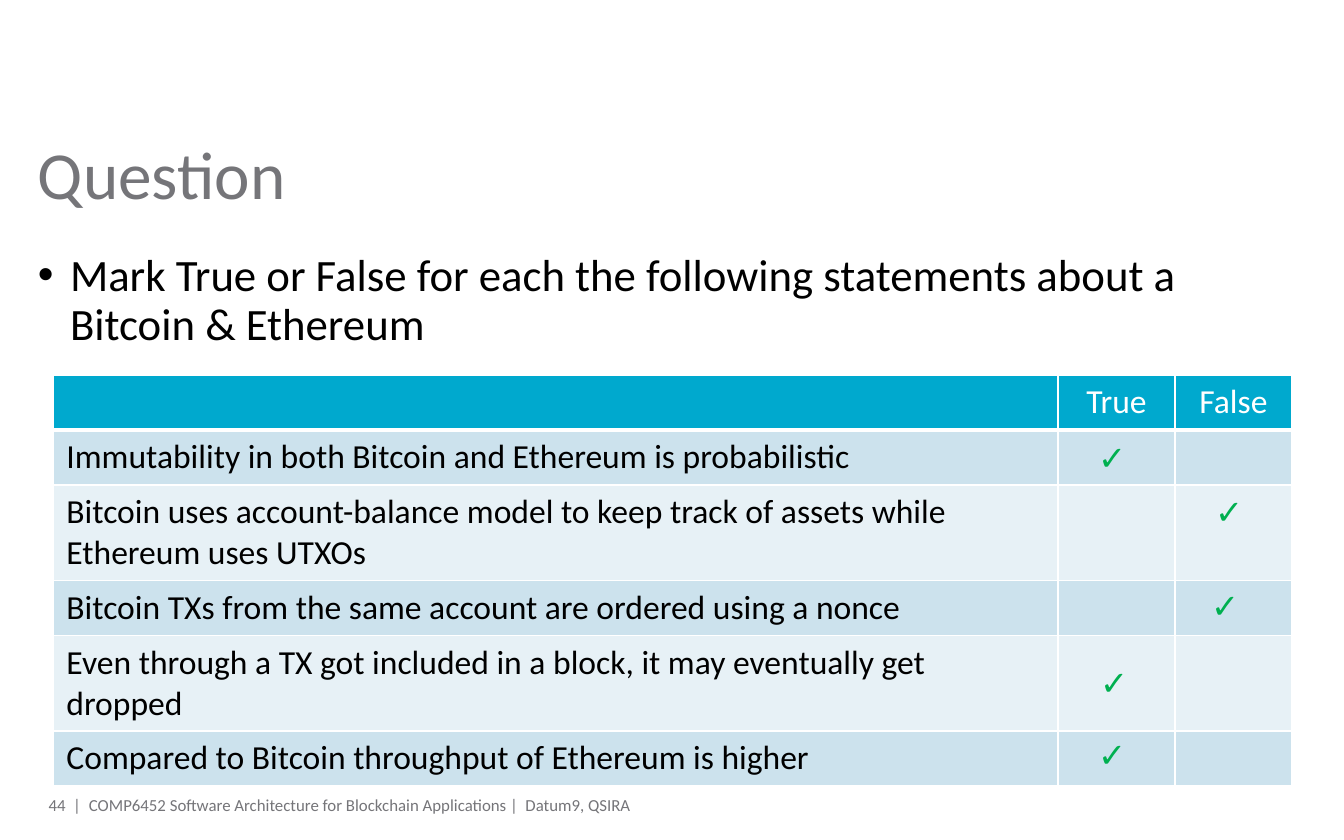
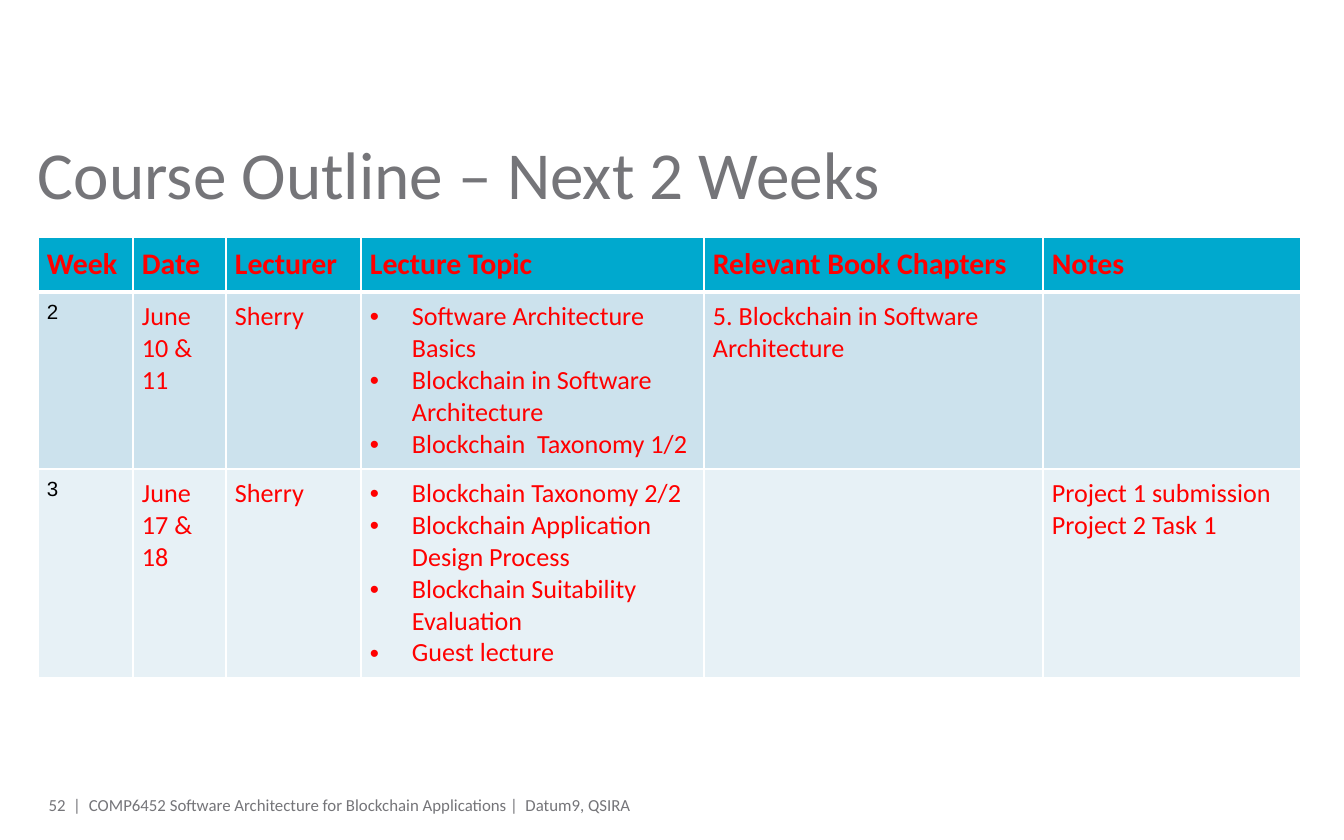
import dataclasses

import lxml.etree
import pptx
import pptx.dml.color
import pptx.enum.text
import pptx.oxml.ns
import pptx.util

RGBColor = pptx.dml.color.RGBColor
Align = pptx.enum.text.PP_ALIGN
Anchor = pptx.enum.text.MSO_ANCHOR
AutoSize = pptx.enum.text.MSO_AUTO_SIZE

PX_PER_INCH = 134.4
GREY = RGBColor(0x75, 0x75, 0x79)
BLACK = RGBColor(0, 0, 0)
WHITE = RGBColor(0xFF, 0xFF, 0xFF)
RED = RGBColor(0xFF, 0, 0)
GREEN = RGBColor(0, 0xB0, 0x50)
HEADER_BLUE = RGBColor(0, 0xA9, 0xCE)
BANDS = (RGBColor(0xCC, 0xE2, 0xED), RGBColor(0xE7, 0xF1, 0xF6))

LEFT, CONTENT_WIDTH = 38, 1270
ROW_HEIGHT = 55
FOOTER = "COMP6452 Software Architecture for Blockchain Applications |  Datum9, QSIRA"


@dataclasses.dataclass
class Style:
    size: int
    color: RGBColor
    font: str = "Calibri"
    bold: bool = False
    align: Align = Align.LEFT
    bullet_indent: int = 0


TITLE = Style(36, GREY)
PROMPT = Style(24, BLACK, bullet_indent=32)
FOOTER_TEXT = Style(9, GREY)
PAGE_NUMBER = Style(9, GREY, align=Align.RIGHT)
CHECK = Style(18, GREEN, "Lato", True, Align.CENTER)
STATEMENT = Style(18, BLACK)
ANSWER_HEAD = Style(18, WHITE, align=Align.CENTER)
OUTLINE_HEAD = Style(16, RED, bold=True)
OUTLINE_TEXT = Style(14, RED)
OUTLINE_TOPIC = Style(14, RED, bullet_indent=42)
WEEK_NUMBER = Style(11, BLACK, "Arial")

ANSWER_COLUMNS = (1005, 117, 117)
ANSWERS = (
    ("", "True", "False"),
    ("Immutability in both Bitcoin and Ethereum is probabilistic", "", ""),
    ("Bitcoin uses account-balance model to keep track of assets while Ethereum uses UTXOs", "", ""),
    ("Bitcoin TXs from the same account are ordered using a nonce", "", ""),
    ("Even through a TX got included in a block, it may eventually get dropped", "", ""),
    ("Compared to Bitcoin throughput of Ethereum is higher", "", ""),
)
CHECK_PLACES = ((1085, 430), (1202, 484), (1198, 578), (1087, 655), (1085, 727))

OUTLINE_COLUMNS = (95, 93, 135, 343, 339, 258)
OUTLINE = (
    ("Week", "Date", "Lecturer", "Lecture Topic", "Relevant Book Chapters", "Notes"),
    (
        "2",
        "June 10 & 11",
        "Sherry",
        "Software Architecture Basics\nBlockchain in Software Architecture\nBlockchain  Taxonomy 1/2",
        "5. Blockchain in Software Architecture",
        "",
    ),
    (
        "3",
        "June 17 & 18",
        "Sherry",
        "Blockchain Taxonomy 2/2\nBlockchain Application Design Process\n"
        "Blockchain Suitability Evaluation\nGuest lecture",
        "",
        "Project 1 submission\nProject 2 Task 1",
    ),
)
OUTLINE_STYLES = (WEEK_NUMBER, OUTLINE_TEXT, OUTLINE_TEXT, OUTLINE_TOPIC, OUTLINE_TEXT, OUTLINE_TEXT)


def px(length):
    return pptx.util.Emu(round(length * 914400 / PX_PER_INCH))


def add_xml(parent, tag, **attributes):
    return lxml.etree.SubElement(parent, pptx.oxml.ns.qn(tag), attributes)


def add_bullet(para, indent):
    properties = para._p.get_or_add_pPr()
    properties.set("marL", str(px(indent)))
    properties.set("indent", str(-px(indent)))
    add_xml(properties, "a:buFont", typeface="Arial")
    add_xml(properties, "a:buChar", char="•")


def write_text(frame, text, style):
    for index, line in enumerate(text.split("\n")):
        para = frame.add_paragraph() if index else frame.paragraphs[0]
        if style.bullet_indent:
            add_bullet(para, style.bullet_indent)
        para.alignment = style.align
        para.space_before = pptx.util.Pt(0)
        span = para.add_run()
        span.text = line
        span.font.size = pptx.util.Pt(style.size)
        span.font.name = style.font
        span.font.bold = style.bold
        span.font.color.rgb = style.color


def set_margins(target, margin):
    target.margin_left = target.margin_right = px(margin)
    target.margin_top = target.margin_bottom = px(margin)


def fill_frame(frame, text, style, anchor):
    set_margins(frame, 0)
    frame.word_wrap = True
    frame.auto_size = AutoSize.NONE
    frame.vertical_anchor = anchor
    write_text(frame, text, style)


def fill_placeholder(shape, top, text, style):
    shape.left, shape.top = px(LEFT), px(top)
    shape.width, shape.height = px(CONTENT_WIDTH), px(105)
    fill_frame(shape.text_frame, text, style, Anchor.TOP)


def add_footer_text(page, left, width, text, style):
    box = page.shapes.add_textbox(px(left), px(797), px(width), px(15))
    fill_frame(box.text_frame, text, style, Anchor.MIDDLE)


def add_page(deck, layout_name, title, number):
    page = deck.slides.add_slide(deck.slide_layouts.get_by_name(layout_name))
    fill_placeholder(page.shapes.title, 132, title, TITLE)
    add_footer_text(page, 89, 894, FOOTER, FOOTER_TEXT)
    add_footer_text(page, LEFT, 43, f"{number}  |", PAGE_NUMBER)
    return page


def add_check(page, left, top):
    box = page.shapes.add_textbox(px(left), px(top), px(52), px(54))
    box.text_frame.word_wrap = False
    box.text_frame.auto_size = AutoSize.SHAPE_TO_FIT_TEXT
    write_text(box.text_frame, "✓", CHECK)


def add_borders(cell, bottom_width):
    properties = cell._tc.get_or_add_tcPr()
    for side, width in (("L", 1), ("R", 1), ("T", 1), ("B", bottom_width)):
        line = add_xml(properties, f"a:ln{side}", w=str(pptx.util.Pt(width)))
        add_xml(add_xml(line, "a:solidFill"), "a:srgbClr", val=str(WHITE))


def add_grid(page, left, top, widths, rows, head_style, column_styles, margin=None):
    frame = page.shapes.add_table(
        len(rows), len(widths), px(left), px(top), px(sum(widths)), px(ROW_HEIGHT * len(rows))
    )
    table = frame.table
    table.first_row = table.horz_banding = False
    for column, width in zip(table.columns, widths):
        column.width = px(width)
    for row_index, row in enumerate(rows):
        for column_index, text in enumerate(row):
            cell = table.cell(row_index, column_index)
            add_borders(cell, 1 if row_index else 3)
            cell.fill.solid()
            cell.fill.fore_color.rgb = BANDS[(row_index - 1) % 2] if row_index else HEADER_BLUE
            if text:
                if margin:
                    set_margins(cell, margin)
                write_text(cell.text_frame, text, column_styles[column_index] if row_index else head_style)


def build_question(deck):
    page = add_page(deck, "Title and Content", "Question", 44)
    prompt = page.placeholders[1]
    fill_placeholder(
        prompt,
        253,
        "Mark True or False for each the following statements about a Bitcoin & Ethereum",
        PROMPT,
    )
    prompt.text_frame.paragraphs[0].line_spacing = 0.9
    add_grid(page, 53, 375, ANSWER_COLUMNS, ANSWERS, ANSWER_HEAD, (STATEMENT,) * 3)
    for left, top in CHECK_PLACES:
        add_check(page, left, top)


def build_outline(deck):
    page = add_page(deck, "Title Only", "Course Outline – Next 2 Weeks", 52)
    add_grid(page, LEFT, 237, OUTLINE_COLUMNS, OUTLINE, OUTLINE_HEAD, OUTLINE_STYLES, margin=9)


def main():
    deck = pptx.Presentation()
    deck.slide_width, deck.slide_height = px(1344), px(840)
    build_question(deck)
    build_outline(deck)
    deck.save("out.pptx")


if __name__ == "__main__":
    main()
